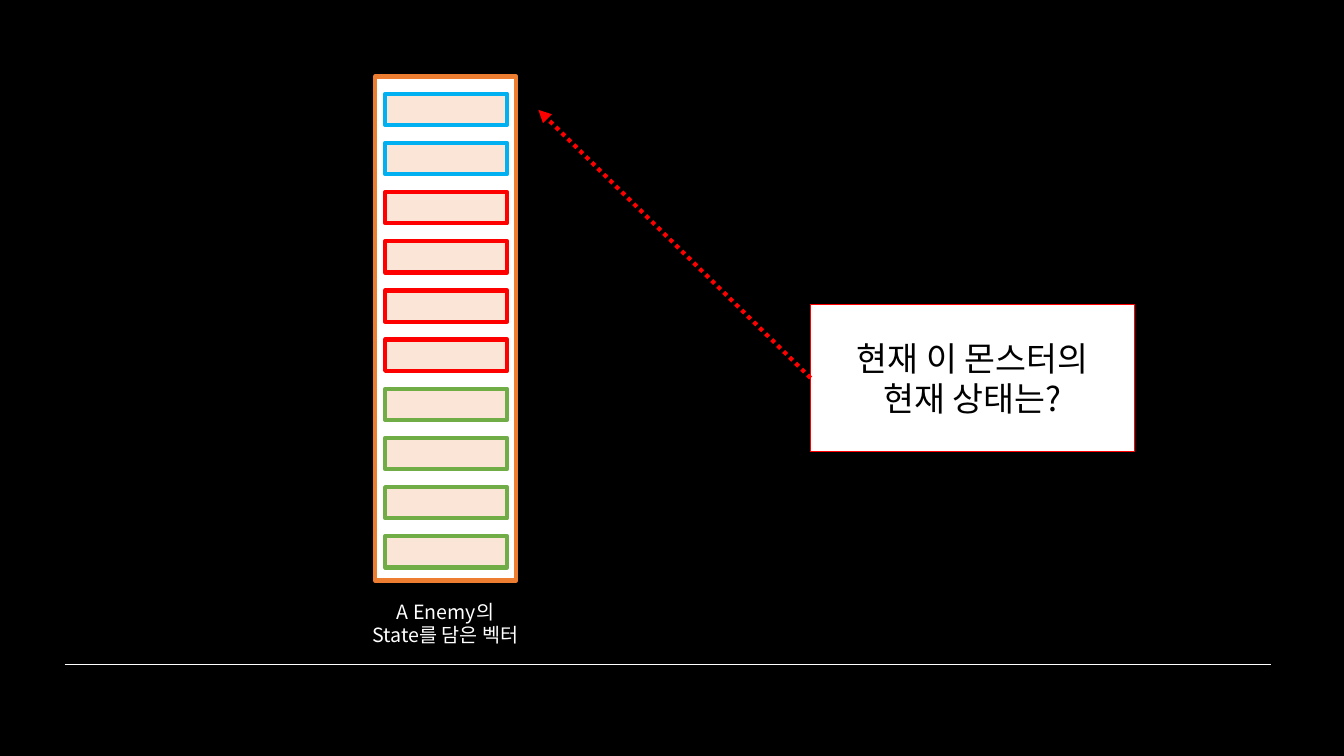
from lxml import etree
from pptx import Presentation
from pptx.dml.color import RGBColor
from pptx.enum import dml, shapes, text
from pptx.oxml import ns
from pptx.util import Inches, Pt

BLACK = RGBColor(0x00, 0x00, 0x00)
WHITE = RGBColor(0xFF, 0xFF, 0xFF)
ORANGE = RGBColor(0xED, 0x7D, 0x31)
PEACH = RGBColor(0xFB, 0xE5, 0xD6)
BLUE = RGBColor(0x00, 0xB0, 0xF0)
RED = RGBColor(0xFF, 0x00, 0x00)
GREEN = RGBColor(0x70, 0xAD, 0x47)
FONT = "Noto Sans CJK KR"
STATE_COLORS = [BLUE] * 2 + [RED] * 4 + [GREEN] * 4


def add_box(page, left, top, width, height, fill, line, weight):
    box = page.shapes.add_shape(shapes.MSO_SHAPE.RECTANGLE, Inches(left),
                                Inches(top), Inches(width), Inches(height))
    box.shadow.inherit = False
    box.fill.solid()
    box.fill.fore_color.rgb = fill
    box.line.color.rgb = line
    box.line.width = Pt(weight)
    return box


def add_line(page, start, end, color, weight):
    line = page.shapes.add_connector(shapes.MSO_CONNECTOR.STRAIGHT,
                                     *map(Inches, start + end))
    line.line.color.rgb = color
    line.line.width = Pt(weight)
    etree.SubElement(line._element.spPr, ns.qn("a:effectLst"))
    return line


def write_lines(frame, lines, size, color):
    frame.word_wrap = True
    for index, words in enumerate(lines):
        para = frame.add_paragraph() if index else frame.paragraphs[0]
        para.alignment = text.PP_ALIGN.CENTER
        para.line_spacing = Pt(size * 1.2)
        span = para.add_run()
        span.text = words
        span.font.name = FONT
        span.font.size = Pt(size)
        span.font.color.rgb = color
        east_asian = etree.SubElement(span.font._element, ns.qn("a:ea"))
        east_asian.set("typeface", FONT)


def add_state_vector(page, left, top, width, height):
    add_box(page, left, top, width, height, WHITE, ORANGE, 3)
    # One cell per state, evenly stacked
    pitch = 4.39 / (len(STATE_COLORS) - 1)
    for index, color in enumerate(STATE_COLORS):
        add_box(page, left + 0.1, top + 0.17 + index * pitch,
                width - 0.19, 0.31, PEACH, color, 3)
    # Caption centred below the vector
    caption_width = 2.34
    caption = page.shapes.add_textbox(
        Inches(left + (width - caption_width) / 2), Inches(top + height + 0.14),
        Inches(caption_width), Inches(0.57))
    write_lines(caption.text_frame, ["A Enemy의", "State를 담은 벡터"], 14, WHITE)
    caption.text_frame.auto_size = text.MSO_AUTO_SIZE.SHAPE_TO_FIT_TEXT


def add_question(page, left, top, width, height):
    box = add_box(page, left, top, width, height, WHITE, RED, 1)
    box.text_frame.vertical_anchor = text.MSO_ANCHOR.MIDDLE
    write_lines(box.text_frame, ["현재 이 몬스터의", "현재 상태는?"], 24, BLACK)
    # Dotted arrow from the box to the first state
    middle = top + height / 2
    arrow = add_line(page, (left, middle), (left - 2.7, middle - 2.66), RED, 3)
    arrow.line.dash_style = dml.MSO_LINE.ROUND_DOT
    outline = arrow.line._get_or_add_ln()
    etree.SubElement(outline, ns.qn("a:tailEnd")).set("type", "triangle")


deck = Presentation()
deck.slide_width, deck.slide_height = Inches(13.33), Inches(7.5)
page = deck.slides.add_slide(deck.slide_layouts[6])
page.background.fill.solid()
page.background.fill.fore_color.rgb = BLACK

add_line(page, (0.64, 6.59), (12.61, 6.59), WHITE, 0.5)
add_state_vector(page, 3.72, 0.76, 1.4, 5)
add_question(page, 8.04, 3.02, 3.21, 1.46)

deck.save("out.pptx")
